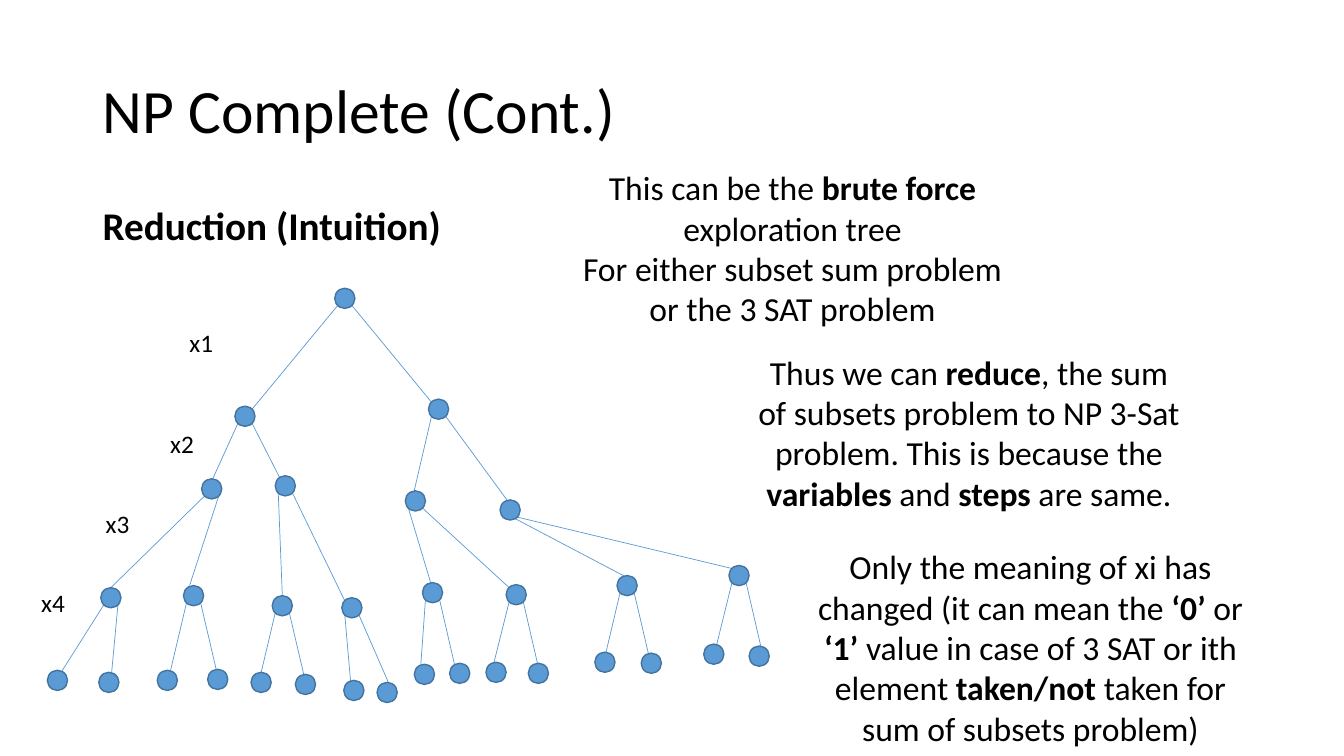
from lxml import etree
from pptx import Presentation
from pptx.dml.color import RGBColor
from pptx.enum.shapes import MSO_CONNECTOR, MSO_SHAPE
from pptx.enum.text import MSO_ANCHOR, MSO_AUTO_SIZE, PP_ALIGN
from pptx.oxml.ns import qn
from pptx.util import Inches, Pt

LEFT, CENTER = PP_ALIGN.LEFT, PP_ALIGN.CENTER
TOP, MIDDLE = MSO_ANCHOR.TOP, MSO_ANCHOR.MIDDLE
FIT_SHAPE, FIT_NONE = MSO_AUTO_SIZE.SHAPE_TO_FIT_TEXT, MSO_AUTO_SIZE.NONE
OVAL, STRAIGHT = MSO_SHAPE.OVAL, MSO_CONNECTOR.STRAIGHT

WIDTH, HEIGHT = Inches(13.33), Inches(7.5)
COLUMNS, ROWS = 1333, 750
TITLE_ONLY = 5
FONT, INK, BLUE, RIM = "Calibri", "000000", "5B9BD5", "43739E"
NODE, NEAR, FAR, MIDWAY = 20, 3, 17, 12

TITLE_BOX = (92, 40, 1150, 145)
HEADING_BOX = (92, 200, 1150, 476)
TREE_BOX = (47, 286, 716, 411)

# Each node: column, row, then the point inside it where its edge ends
LEVELS = [
    [(285, 0, 0, 0)],
    [(186, 117, 17, 3), (378, 110, 3, 3)],
    [(153, 189, 11, 0), (226, 186, 5, 3), (355, 201, 6, 12), (449, 210, 9, 3)],
    [(53, 297, 10, 0), (135, 295, 6, 0), (223, 305, 10, 0), (292, 307, 3, 3),
     (372, 292, 9, 3), (455, 294, 3, 3), (565, 285, 10, 2), (676, 275, 3, 3)],
    [(0, 379, 13, 3), (51, 381, 12, 8), (109, 379, 12, 5), (159, 378, 11, 11),
     (202, 381, 7, 13), (246, 383, 12, 16), (294, 389, 7, 4), (327, 391, 13, 4),
     (364, 373, 6, 6), (399, 372, 8, 15), (435, 371, 5, 12), (477, 372, 13, 17),
     (543, 361, 8, 13), (589, 362, 11, 17), (651, 353, 10, 12), (696, 355, 15, 15)],
]
LABELS = [("x1", 131, 34), ("x2", 112, 134), ("x3", 48, 213), ("x4", -16, 292)]

NOTES = [
    ((740, 344, 442, 172),
     ["Thus we can *reduce*, the sum of subsets problem to NP 3-Sat problem. "
      "This is because the *variables* and *steps* are same."]),
    ((565, 161, 442, 172),
     ["This can be the *brute force *exploration tree",
      "For either subset sum problem or the 3 SAT problem"]),
    ((801, 537, 442, 212),
     ["Only the meaning of xi has changed (it can mean the *‘0’* or *‘1’* value "
      "in case of 3 SAT or ith element *taken/not* taken for sum of subsets problem)"]),
]


def color(value):
    return RGBColor.from_string(value)


def across(column):
    return round(WIDTH * column / COLUMNS)


def down(row):
    return round(HEIGHT * row / ROWS)


def place(box):
    left, top, width, height = box
    return across(left), down(top), across(width), down(height)


def apply(target, formats):
    for name, value in formats.items():
        setattr(target, name, value)


def write(shape, lines, size, frame_format, para_format):
    frame = shape.text_frame
    apply(frame, {"word_wrap": True, "vertical_anchor": TOP, **frame_format})
    for index, line in enumerate(lines):
        para = frame.add_paragraph() if index else frame.paragraphs[0]
        apply(para, para_format)
        for position, piece in enumerate(line.split("*")):
            if piece:
                span = para.add_run()
                span.text = piece
                apply(span.font, {"name": FONT, "size": Pt(size), "bold": position % 2 == 1})
                span.font.color.rgb = color(INK)


def add_text(page, box, lines, size, frame_format, para_format):
    write(page.shapes.add_textbox(*place(box)), lines, size, frame_format, para_format)


def add_title(page, box):
    title = page.shapes.title
    apply(title, dict(zip(("left", "top", "width", "height"), place(box))))
    write(title, ["NP Complete (Cont.)"], 44,
          {"vertical_anchor": MIDDLE, "auto_size": FIT_NONE},
          {"alignment": LEFT, "line_spacing": 0.9})


def add_heading(page, box):
    add_text(page, box, ["*Reduction (Intuition)*"], 28, {},
             {"alignment": LEFT, "line_spacing": 0.9, "space_before": Pt(10)})


def add_edge(page, start, end):
    edge = page.shapes.add_connector(
        STRAIGHT, across(start[0]), down(start[1]), across(end[0]), down(end[1]))
    edge.line.color.rgb = color(BLUE)
    edge.line.width = Pt(0.5)
    etree.SubElement(edge._element.spPr, qn("a:effectLst"))


def add_node(page, column, row):
    node = page.shapes.add_shape(OVAL, *place((column, row, NODE, NODE)))
    node.shadow.inherit = False
    node.fill.solid()
    node.fill.fore_color.rgb = color(BLUE)
    node.line.color.rgb = color(RIM)
    node.line.width = Pt(1)


def add_tree(page, box):
    left, top = box[:2]
    for parents, children in zip(LEVELS, LEVELS[1:]):
        for index, (column, row, end_column, end_row) in enumerate(children):
            parent_column, parent_row = parents[index // 2][:2]
            offset = FAR if index % 2 else NEAR
            if offset == NEAR and column > parent_column + NODE:
                offset = MIDWAY if column > parent_column + 5 * NODE else NEAR
            add_edge(page, (left + parent_column + offset, top + parent_row + FAR),
                     (left + column + end_column, top + row + end_row))
    for level in LEVELS:
        for column, row, *_ in level:
            add_node(page, left + column, top + row)
    for label, column, row in LABELS:
        add_text(page, (left + column, top + row, 44, 40), [label], 18,
                 {"word_wrap": False, "auto_size": FIT_SHAPE}, {"alignment": LEFT})


def add_note(page, box, lines):
    add_text(page, box, lines, 24, {"auto_size": FIT_SHAPE}, {"alignment": CENTER})


def main():
    deck = Presentation()
    apply(deck, {"slide_width": WIDTH, "slide_height": HEIGHT})
    page = deck.slides.add_slide(deck.slide_layouts[TITLE_ONLY])
    add_title(page, TITLE_BOX)
    add_heading(page, HEADING_BOX)
    add_tree(page, TREE_BOX)
    for box, lines in NOTES:
        add_note(page, box, lines)
    deck.save("out.pptx")


if __name__ == "__main__":
    main()
